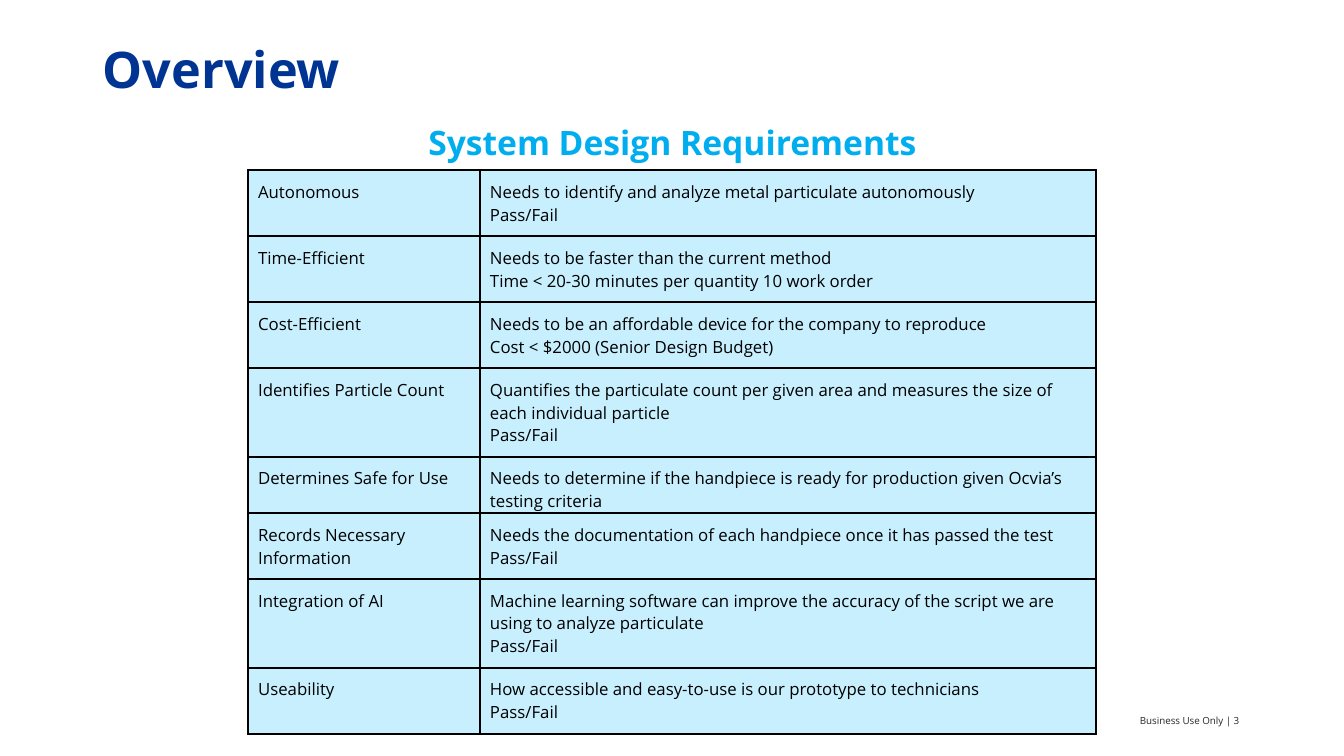
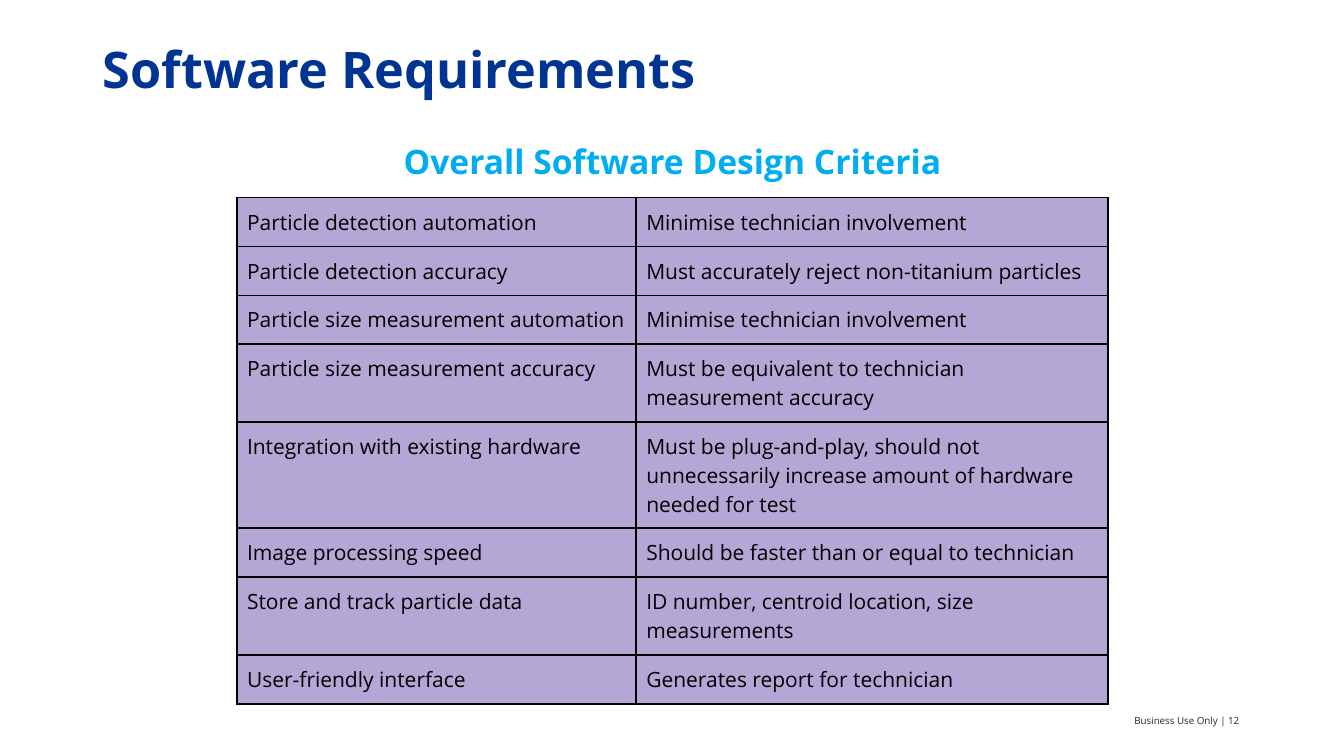
import pptx
import pptx.dml.color
import pptx.enum.text
import pptx.oxml
import pptx.oxml.ns
import pptx.util

Inches = pptx.util.Inches
Pt = pptx.util.Pt
RGBColor = pptx.dml.color.RGBColor
PP_ALIGN = pptx.enum.text.PP_ALIGN
MSO_ANCHOR = pptx.enum.text.MSO_ANCHOR

NAVY = RGBColor(0x00, 0x34, 0x93)
CYAN = RGBColor(0x00, 0xAE, 0xEF)
INK = RGBColor(0x27, 0x27, 0x27)
BLACK = RGBColor(0x00, 0x00, 0x00)
PALE_BLUE = RGBColor(0xC8, 0xEF, 0xFE)
LILAC = RGBColor(0xB4, 0xA7, 0xD6)

FONT = "Open Sans"
ROW_HEIGHT = 0.42
CELL_INSET = 0.1

SYSTEM_NEEDS = [
    ("Autonomous", "Needs to identify and analyze metal particulate autonomously\nPass/Fail"),
    ("Time-Efficient", "Needs to be faster than the current method\nTime < 20-30 minutes per quantity 10 work order"),
    ("Cost-Efficient", "Needs to be an affordable device for the company to reproduce\nCost < $2000 (Senior Design Budget)"),
    ("Identifies Particle Count", "Quantifies the particulate count per given area and measures the size of each individual particle\nPass/Fail"),
    ("Determines Safe for Use", "Needs to determine if the handpiece is ready for production given Ocvia’s testing criteria"),
]
OPERATION_NEEDS = [
    ("Records Necessary Information", "Needs the documentation of each handpiece once it has passed the test\nPass/Fail"),
    ("Integration of AI", "Machine learning software can improve the accuracy of the script we are using to analyze particulate\nPass/Fail"),
    ("Useability", "How accessible and easy-to-use is our prototype to technicians\nPass/Fail"),
]
SOFTWARE_CRITERIA = [
    ("Particle detection automation", "Minimise technician involvement"),
    ("Particle detection accuracy", "Must accurately reject non-titanium particles"),
    ("Particle size measurement automation", "Minimise technician involvement"),
    ("Particle size measurement accuracy", "Must be equivalent to technician measurement accuracy"),
    ("Integration with existing hardware", "Must be plug-and-play, should not unnecessarily increase amount of hardware needed for test"),
    ("Image processing speed", "Should be faster than or equal to technician"),
    ("Store and track particle data", "ID number, centroid location, size measurements"),
    ("User-friendly interface", "Generates report for technician"),
]


def set_all(target, values):
    """Set every attribute of target from a dict."""
    for name, value in values.items():
        setattr(target, name, value)


class Deck:
    """Hold the style and the current slide."""

    def __init__(self):
        self.prs = pptx.Presentation()
        set_all(self.prs, {"slide_width": Inches(13.33), "slide_height": Inches(7.5)})

    def slide(self, title, number):
        """Start a slide with its title and footer."""
        self.s = self.prs.slides.add_slide(self.prs.slide_layouts[1])
        self.text(self.s.shapes.title, (0.92, 0.4, 11.5, 1.03), title, 36, NAVY,
                  bold=True, spacing=0.9)
        footer = self.s.shapes.add_textbox(0, 0, 0, 0)
        self.text(footer, (4.94, 7.05, 7.45, 0.19), f"Business Use Only | {number}", 7, INK,
                  align=PP_ALIGN.RIGHT, anchor=MSO_ANCHOR.MIDDLE)

    def subtitle(self, text, top):
        """Fill the body placeholder with a centred heading."""
        sp = self.s.placeholders[1]
        self.text(sp, (3.57, top, 6.2, 0.5), text, 24, CYAN,
                  bold=True, spacing=0.9, align=PP_ALIGN.CENTER)
        pPr = sp.text_frame.paragraphs[0]._p.get_or_add_pPr()
        pPr.set("marL", "0")
        pPr.set("indent", "0")
        pPr.append(pptx.oxml.parse_xml(f"<a:buNone {pptx.oxml.ns.nsdecls('a')}/>"))

    def text(self, sp, box, text, size, color, bold=False, spacing=1.0,
             align=PP_ALIGN.LEFT, anchor=MSO_ANCHOR.TOP):
        """Place a shape and format its text."""
        set_all(sp, dict(zip(("left", "top", "width", "height"), map(Inches, box))))
        tf = sp.text_frame
        set_all(tf, {"word_wrap": True, "auto_size": pptx.enum.text.MSO_AUTO_SIZE.NONE,
                     "vertical_anchor": anchor})
        self.fill_text(tf, text, size, color, bold, spacing, align)

    def fill_text(self, tf, text, size, color, bold=False, spacing=1.0, align=PP_ALIGN.LEFT):
        """Put one paragraph per line of text in a frame."""
        tf.text = text
        for p in tf.paragraphs:
            set_all(p, {"alignment": align, "line_spacing": spacing, "space_before": Pt(0)})
            for r in p.runs:
                set_all(r.font, {"name": FONT, "size": Pt(size), "bold": bold})
                r.font.color.rgb = color

    def table(self, rows, left, top, widths, size, fill, end_inset=CELL_INSET):
        """Add a bordered two-column table."""
        table = self.s.shapes.add_table(
            len(rows), len(widths), Inches(left), Inches(top),
            Inches(sum(widths)), Inches(ROW_HEIGHT * len(rows))).table
        set_all(table, {"first_row": False, "horz_banding": False})
        for column, width in zip(table.columns, widths):
            column.width = Inches(width)
        for i, row in enumerate(rows):
            bottom = end_inset if i == len(rows) - 1 else CELL_INSET
            for j, text in enumerate(row):
                self.cell(table.cell(i, j), text, size, fill, bottom)

    def cell(self, cell, text, size, fill, bottom):
        """Format one table cell."""
        set_all(cell, {"margin_left": Inches(CELL_INSET), "margin_right": Inches(CELL_INSET),
                       "margin_top": Inches(CELL_INSET), "margin_bottom": Inches(bottom)})
        self.fill_text(cell.text_frame, text, size, BLACK)
        tcPr = cell._tc.get_or_add_tcPr()
        for side in "LRTB":
            tcPr.append(pptx.oxml.parse_xml(
                f'<a:ln{side} {pptx.oxml.ns.nsdecls("a")} w="{Pt(1.5)}"><a:solidFill>'
                f'<a:srgbClr val="{BLACK}"/></a:solidFill></a:ln{side}>'))
        cell.fill.solid()
        cell.fill.fore_color.rgb = fill


def main():
    """Build and save the slides."""
    deck = Deck()

    deck.slide("Overview", 3)
    deck.table(SYSTEM_NEEDS, 2.46, 1.69, (2.3, 6.11), 12, PALE_BLUE, end_inset=0)
    deck.table(OPERATION_NEEDS, 2.46, 5.09, (2.3, 6.11), 12, PALE_BLUE)
    deck.subtitle("System Design Requirements", 1.2)

    deck.slide("Software Requirements", 12)
    deck.subtitle("Overall Software Design Criteria", 1.39)
    deck.table(SOFTWARE_CRITERIA, 2.35, 1.96, (3.96, 4.68), 15, LILAC)

    deck.prs.save("out.pptx")


if __name__ == "__main__":
    main()
